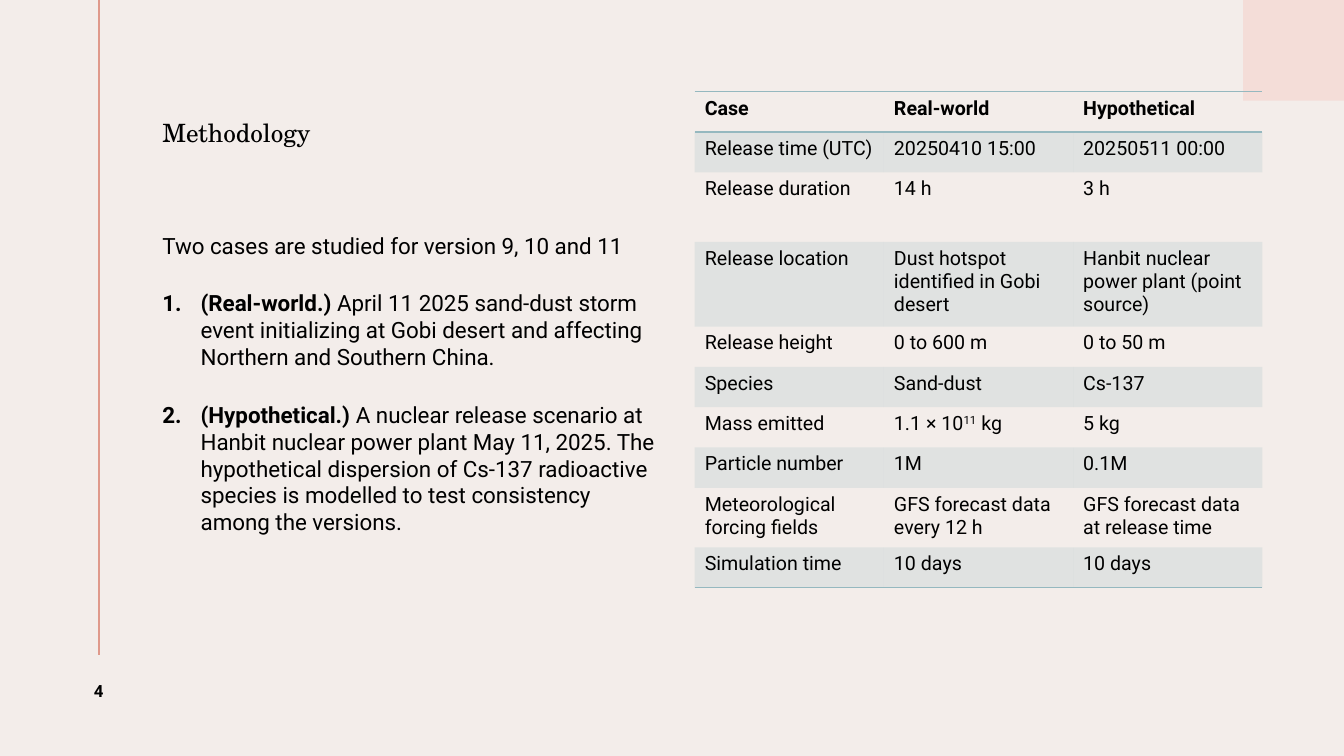
from dataclasses import dataclass

from lxml import etree
from pptx import Presentation, util as u
from pptx.dml.color import RGBColor
from pptx.enum import shapes, text
from pptx.oxml import ns

COLORS = {
    "background": "F3EDEA",
    "corner": "F4DDD8",
    "rule": "DF998B",
    "table": "95B8BF",
    "text": "000000",
}
HEADING_FONT, BODY_FONT = "TeX Gyre Schola", "Roboto"
PLAIN_TABLE_STYLE = "{2D5ABB26-0587-4C30-8999-92F81FD0307C}"


@dataclass(frozen=True)
class Box:
    left: float
    top: float
    width: float
    height: float

    def lengths(self) -> list:
        return [u.Inches(v) for v in (self.left, self.top, self.width, self.height)]


@dataclass(frozen=True)
class Piece:
    """A stretch of text with one look."""
    words: str
    bold: bool = False
    raised: bool = False


@dataclass(frozen=True)
class CaseRow:
    height: float
    label: str
    real_world: str | tuple
    hypothetical: str


BODY = [
    [Piece("Two cases are studied for version 9, 10 and 11")],
    [Piece("(Real-world.)", bold=True),
     Piece(" April 11 2025 sand-dust storm event initializing at Gobi desert and "
           "affecting Northern and Southern China.")],
    [Piece("(Hypothetical.)", bold=True),
     Piece(" A nuclear release scenario at Hanbit nuclear power plant May 11, 2025. "
           "The hypothetical dispersion of Cs-137 radioactive species is modelled to "
           "test consistency among the versions.")],
]

CASES = [
    CaseRow(0.4, "Case", "Real-world", "Hypothetical"),
    CaseRow(0.4, "Release time (UTC)", "20250410 15:00", "20250511 00:00"),
    CaseRow(0.69, "Release duration", "14 h", "3 h"),
    CaseRow(0.84, "Release location", "Dust hotspot identified in Gobi desert",
            "Hanbit nuclear power plant (point source)"),
    CaseRow(0.4, "Release height", "0 to 600 m", "0 to 50 m"),
    CaseRow(0.4, "Species", "Sand-dust", "Cs-137"),
    CaseRow(0.4, "Mass emitted",
            (Piece("1.1 × 10"), Piece("11", raised=True), Piece(" kg")), "5 kg"),
    CaseRow(0.4, "Particle number", "1M", "0.1M"),
    CaseRow(0.59, "Meteorological forcing fields", "GFS forecast data every 12 h",
            "GFS forecast data at release time"),
    CaseRow(0.4, "Simulation time", "10 days", "10 days"),
]


def color(name: str) -> RGBColor:
    return RGBColor.from_string(COLORS[name])


def add_pieces(paragraph, pieces, size: float, font: str = BODY_FONT) -> None:
    for piece in pieces:
        run = paragraph.add_run()
        run.text = piece.words
        run.font.size, run.font.name = u.Pt(size), font
        run.font.bold = piece.bold
        run.font.color.rgb = color("text")
        if piece.raised:
            run._r.get_or_add_rPr().set("baseline", "30000")


def place(shape, box: Box, anchor, left_inset: float):
    """Move a text shape and return its text frame, set to a fixed size."""
    shape.left, shape.top, shape.width, shape.height = box.lengths()
    frame = shape.text_frame
    frame.word_wrap, frame.auto_size = True, text.MSO_AUTO_SIZE.NONE
    frame.vertical_anchor = anchor
    frame.margin_left, frame.margin_right = u.Inches(left_inset), u.Inches(0.1)
    frame.margin_top = frame.margin_bottom = u.Inches(0.05)
    return frame


def set_bullet(paragraph, numbered: bool) -> None:
    properties = paragraph._p.get_or_add_pPr()
    indent = u.Inches(0.38) if numbered else 0
    properties.set("marL", str(indent))
    properties.set("indent", str(-indent))
    if numbered:
        etree.SubElement(properties, ns.qn("a:buFont"), typeface="+mj-lt")
        etree.SubElement(properties, ns.qn("a:buAutoNum"), type="arabicPeriod")
    else:
        etree.SubElement(properties, ns.qn("a:buNone"))


def add_decoration(slide) -> None:
    corner = slide.shapes.add_shape(shapes.MSO_SHAPE.RECTANGLE, *Box(12.33, 0, 1, 1).lengths())
    corner.shadow.inherit = False
    corner.fill.solid()
    corner.fill.fore_color.rgb = color("corner")
    corner.line.fill.background()

    rule = slide.shapes.add_connector(
        shapes.MSO_CONNECTOR.STRAIGHT, *[u.Inches(v) for v in (0.98, 0, 0.98, 6.5)])
    rule.line.color.rgb, rule.line.width = color("rule"), u.Pt(1.5)
    etree.SubElement(rule._element.spPr, ns.qn("a:effectLst"))


def add_title(slide) -> None:
    frame = place(slide.shapes.title, Box(1.61, 0.55, 10.73, 1.56), text.MSO_ANCHOR.MIDDLE, 0)
    paragraph = frame.paragraphs[0]
    paragraph.alignment, paragraph.line_spacing = text.PP_ALIGN.LEFT, 0.9
    add_pieces(paragraph, [Piece("Methodology")], 18, HEADING_FONT)


def add_body(slide) -> None:
    frame = place(slide.placeholders[1], Box(1.61, 2.25, 5.06, 4.51), text.MSO_ANCHOR.TOP, 0)
    for index, pieces in enumerate(BODY):
        paragraph = frame.add_paragraph() if index else frame.paragraphs[0]
        set_bullet(paragraph, numbered=index > 0)
        paragraph.space_before = u.Pt(10 if index else 0)
        paragraph.space_after = u.Pt(12)
        add_pieces(paragraph, pieces, 16)


def add_page_number(slide) -> None:
    box = Box(0.45, 6.5, 1.06, 0.71)
    frame = place(slide.shapes.add_textbox(*box.lengths()), box, text.MSO_ANCHOR.MIDDLE, 0.1)
    paragraph = frame.paragraphs[0]
    paragraph.alignment = text.PP_ALIGN.CENTER
    add_pieces(paragraph, [Piece("4", bold=True)], 12)
    paragraph.runs[0]._r.get_or_add_rPr().set("spc", "150")


def solid_fill(parent, alpha: int = 100) -> None:
    fill = etree.SubElement(parent, ns.qn("a:solidFill"))
    shade = etree.SubElement(fill, ns.qn("a:srgbClr"), val=COLORS["table"])
    if alpha < 100:
        etree.SubElement(shade, ns.qn("a:alpha"), val=str(alpha * 1000))


def style_cell(cell, banded: bool, edges: list[str]) -> None:
    properties = cell._tc.get_or_add_tcPr()
    for edge in edges:
        border = etree.SubElement(properties, ns.qn(f"a:{edge}"), w=str(u.Pt(1)))
        solid_fill(border)
    if banded:
        solid_fill(properties, alpha=20)
    else:
        cell.fill.background()


def add_case_table(slide) -> None:
    box = Box(6.89, 0.91, 5.63, sum(row.height for row in CASES))
    table = slide.shapes.add_table(len(CASES), 3, *box.lengths()).table
    table.horz_banding = False
    table._tbl.tblPr.find(ns.qn("a:tableStyleId")).text = PLAIN_TABLE_STYLE
    for column in table.columns:
        column.width = u.Inches(box.width / 3)
    last = len(CASES) - 1
    for index, case in enumerate(CASES):
        table.rows[index].height = u.Inches(case.height)
        edges = ["lnT", "lnB"] if index == 0 else ["lnB"] if index == last else []
        for cell, content in zip(table.rows[index].cells,
                                 (case.label, case.real_world, case.hypothetical)):
            pieces = [Piece(content, bold=index == 0)] if isinstance(content, str) else content
            add_pieces(cell.text_frame.paragraphs[0], pieces, 14)
            style_cell(cell, banded=index % 2 == 1, edges=edges)


def main() -> None:
    presentation = Presentation()
    presentation.slide_width, presentation.slide_height = u.Inches(13.33), u.Inches(7.5)
    slide = presentation.slides.add_slide(presentation.slide_layouts[1])
    slide.background.fill.solid()
    slide.background.fill.fore_color.rgb = color("background")
    add_decoration(slide)
    add_title(slide)
    add_body(slide)
    add_page_number(slide)
    add_case_table(slide)
    presentation.save("out.pptx")


if __name__ == "__main__":
    main()
